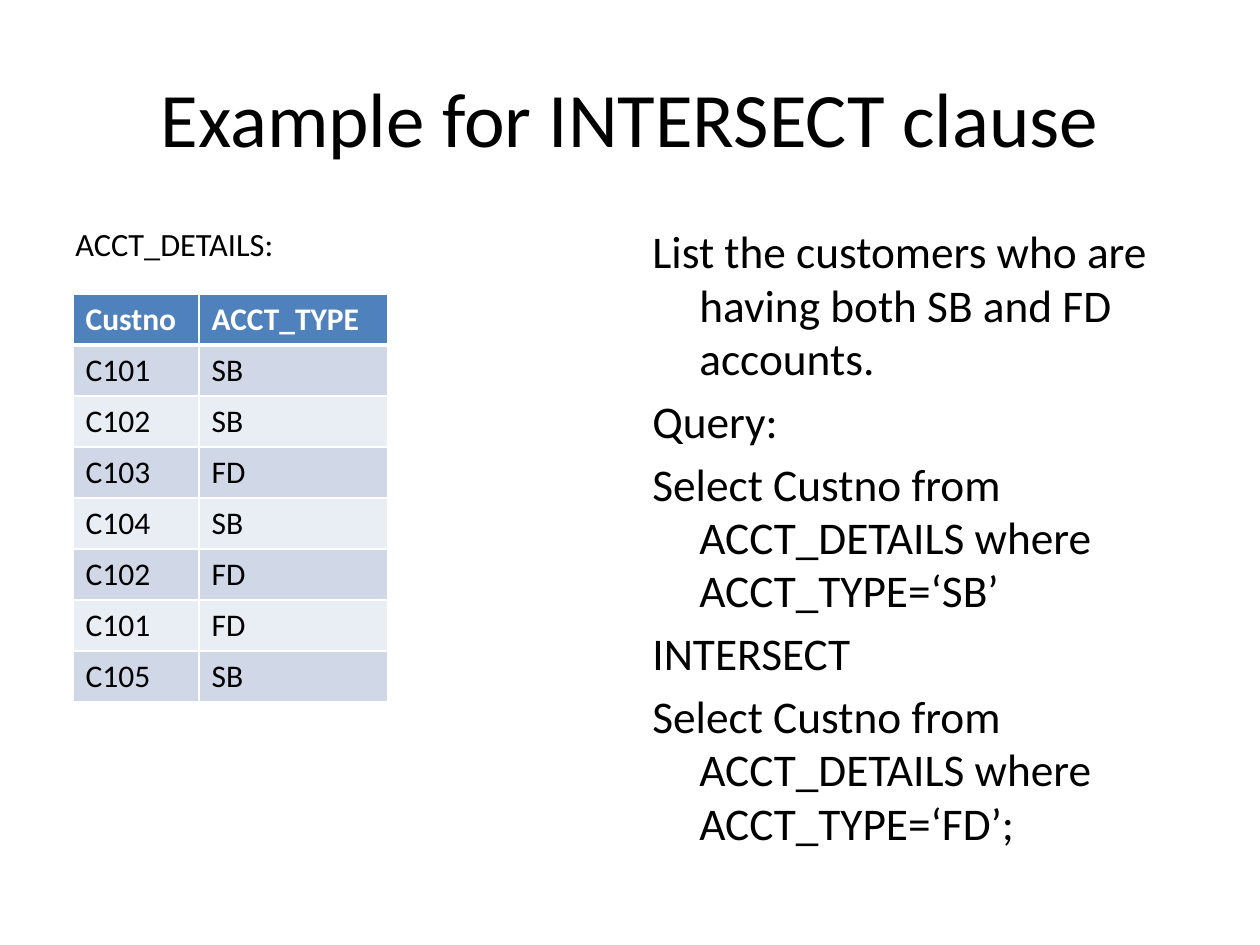
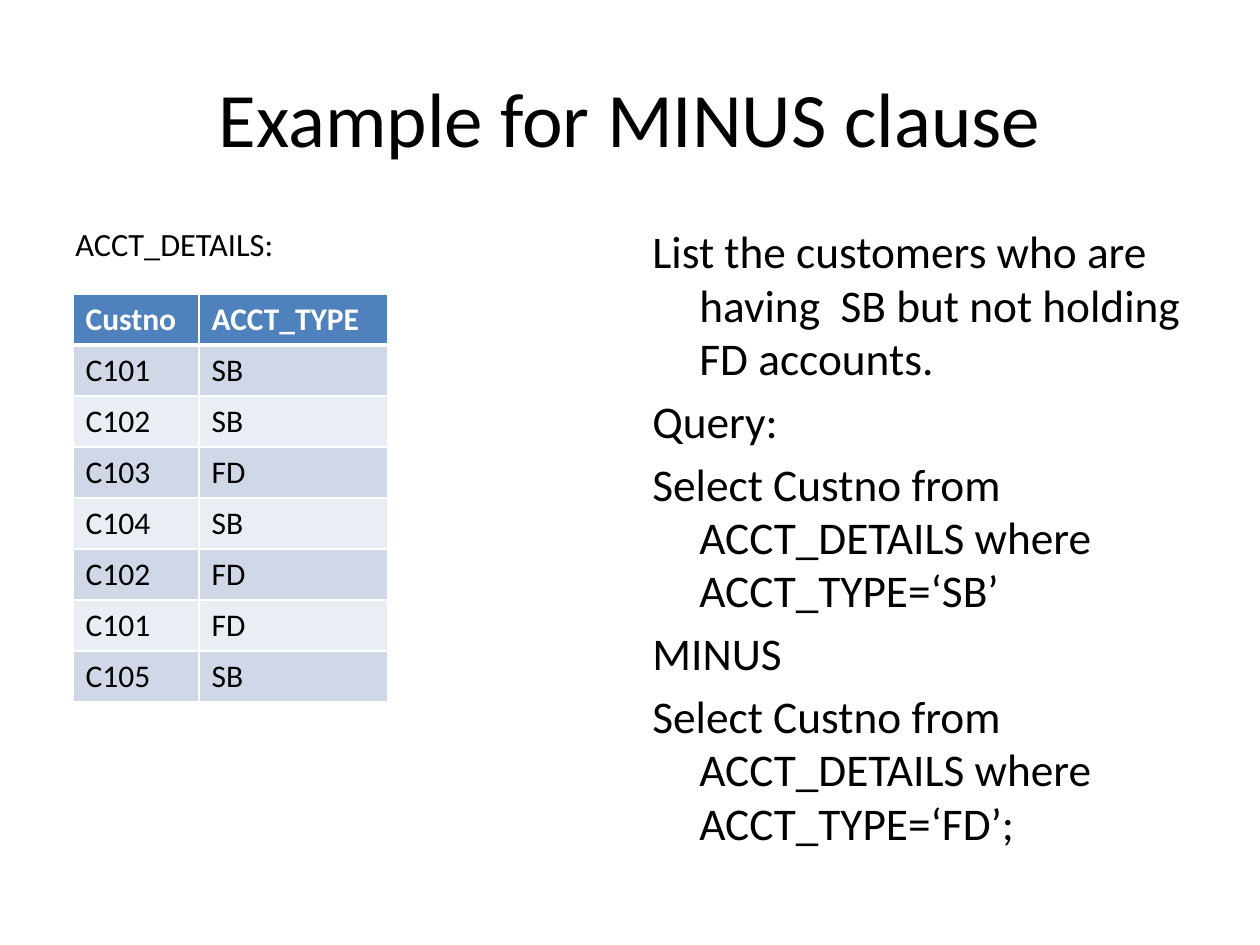
from dataclasses import dataclass
from lxml import etree
from pptx import Presentation
from pptx import util as u
from pptx.dml.color import RGBColor
from pptx.enum import text as t
from pptx.oxml.ns import qn


@dataclass(frozen=True)
class Theme:
    font: str = "Calibri"
    ink: str = "000000"
    paper: str = "FFFFFF"
    head: str = "4F81BD"
    bands: tuple = ("D0D8E8", "E9EDF4")
    title: float = 44
    label: float = 18.5
    body: float = 25.9
    cell: float = 18
    leading: float = 0.98


THEME = Theme()
SCALE = 914400 / 126
EDGE, GAP, WIDE, HALF = 63, 20, 1134, 557
TOP, TALL = 220, 624
INDENT = 47
COLS, ROW = (126, 189), 51

ACCOUNTS = [
    ("Custno", "ACCT_TYPE"),
    ("C101", "SB"),
    ("C102", "SB"),
    ("C103", "FD"),
    ("C104", "SB"),
    ("C102", "FD"),
    ("C101", "FD"),
    ("C105", "SB"),
]

CLAUSES = {
    "INTERSECT": "List the customers who are having both SB and FD accounts.",
    "MINUS": "List the customers who are having  SB but not holding FD accounts.",
}


def px(n):
    return u.Emu(round(n * SCALE))


def style(para, size, color, bold=False):
    for run in para.runs:
        font = run.font
        font.name, font.size, font.bold = THEME.font, u.Pt(size), bold
        font.color.rgb = RGBColor.from_string(color)


def add_text(slide, box, lines, size):
    """Add a wrapped text box with one paragraph per line."""
    frame = slide.shapes.add_textbox(*map(px, box)).text_frame
    frame.word_wrap = True
    frame.text = "\n".join(lines)
    for para in frame.paragraphs:
        style(para, size, THEME.ink)
    return frame


def add_title(slide, words):
    frame = add_text(slide, (EDGE, 38, WIDE, 157), [words], THEME.title)
    frame.vertical_anchor = t.MSO_ANCHOR.MIDDLE
    frame.paragraphs[0].alignment = t.PP_ALIGN.CENTER


def add_body(slide, left, lines, size):
    """Add a column of paragraphs with hanging indents."""
    frame = add_text(slide, (left, TOP, HALF, TALL), lines, size)
    for para in frame.paragraphs:
        para.space_before = u.Pt(round(size * 0.21, 1))
        para.line_spacing = THEME.leading
        props = para._p.get_or_add_pPr()
        props.set("marL", str(px(INDENT)))
        props.set("indent", str(-px(INDENT)))


def add_edges(cell, base):
    """Rule all four sides of a cell, with its own bottom width in points."""
    props = cell._tc.get_or_add_tcPr()
    for side, width in zip("LRTB", (1, 1, 1, base)):
        line = etree.SubElement(props, qn(f"a:ln{side}"), w=str(u.Pt(width)))
        fill = etree.SubElement(line, qn("a:solidFill"))
        etree.SubElement(fill, qn("a:srgbClr"), val=THEME.paper)


def add_grid(slide, rows):
    size = sum(COLS), ROW * len(rows)
    grid = slide.shapes.add_table(
        len(rows), len(COLS), *map(px, (73, 294, *size))).table
    for col, width in zip(grid.columns, COLS):
        col.width = px(width)
    for i, row in enumerate(rows):
        top = i == 0
        fill = THEME.head if top else THEME.bands[(i - 1) % 2]
        for j, words in enumerate(row):
            cell = grid.cell(i, j)
            add_edges(cell, 3 if top else 1)
            cell.fill.solid()
            cell.fill.fore_color.rgb = RGBColor.from_string(fill)
            cell.text_frame.text = words
            style(cell.text_frame.paragraphs[0], THEME.cell,
                  THEME.paper if top else THEME.ink, top)


def add_clause(deck, clause, task):
    slide = deck.slides.add_slide(deck.slide_layouts[6])
    add_title(slide, f"Example for {clause} clause")
    add_body(slide, EDGE, ["ACCT_DETAILS:"], THEME.label)
    query = [
        task,
        "Query:",
        "Select Custno from ACCT_DETAILS where  ACCT_TYPE=‘SB’",
        clause,
        "Select Custno from ACCT_DETAILS where ACCT_TYPE=‘FD’;",
    ]
    add_body(slide, EDGE + HALF + GAP, query, THEME.body)
    add_grid(slide, ACCOUNTS)


def main():
    deck = Presentation()
    deck.slide_width, deck.slide_height = px(1260), px(945)
    for clause, task in CLAUSES.items():
        add_clause(deck, clause, task)
    deck.save("out.pptx")


if __name__ == "__main__":
    main()
